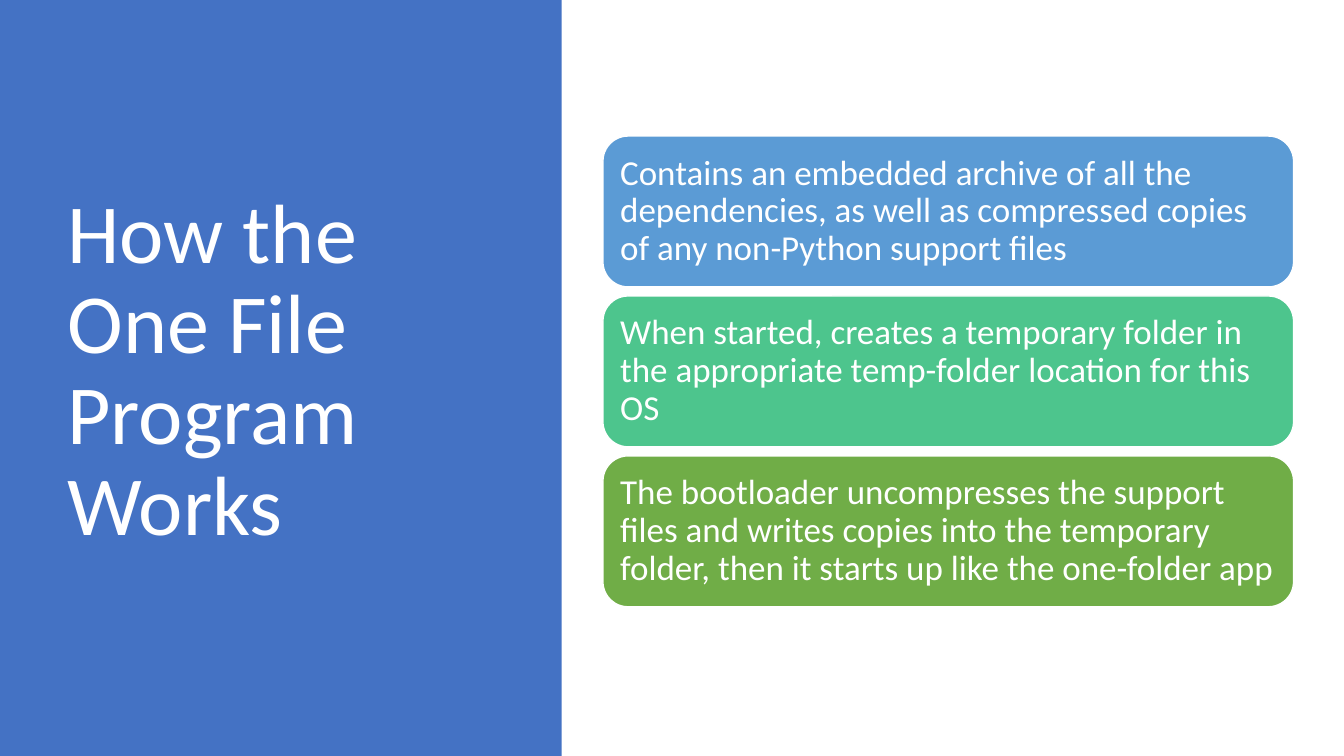
from pptx import Presentation
from pptx.dml.color import RGBColor
from pptx.enum.shapes import MSO_SHAPE
from pptx.enum.text import MSO_ANCHOR, MSO_AUTO_SIZE, PP_ALIGN
from pptx.util import Inches, Pt

COLORS = {
    "panel": "4472C4",
    "white": "FFFFFF",
    "archive": "5B9BD5",
    "folder": "4DC58D",
    "bootloader": "70AD47",
}
STEPS = [
    ("archive", "Contains an embedded archive of all the dependencies, as well as "
                "compressed copies of any non-Python support files"),
    ("folder", "When started, creates a temporary folder in the appropriate "
               "temp-folder location for this OS"),
    ("bootloader", "The bootloader uncompresses the support files and writes copies into "
                   "the temporary folder, then it starts up like the one-folder app"),
]


def color(name):
    return RGBColor.from_string(COLORS[name])


def add_block(slide, preset, left, top, width, height, fill):
    block = slide.shapes.add_shape(
        preset, Inches(left), Inches(top), Inches(width), Inches(height))
    block.shadow.inherit = False
    block.fill.solid()
    block.fill.fore_color.rgb = color(fill)
    return block


def write(frame, text, size):
    frame.text = text
    frame.word_wrap = True
    frame.auto_size = MSO_AUTO_SIZE.NONE
    frame.vertical_anchor = MSO_ANCHOR.MIDDLE
    paragraph = frame.paragraphs[0]
    paragraph.alignment = PP_ALIGN.LEFT
    paragraph.line_spacing = 0.9
    paragraph.font.name = "Calibri"
    paragraph.font.size = Pt(size)
    paragraph.font.color.rgb = color("white")


def add_title_panel(slide, left, top, width, height):
    panel = add_block(slide, MSO_SHAPE.RECTANGLE, left, top, width, height, "panel")
    panel.line.fill.background()
    title = slide.shapes.title
    title.element.addprevious(panel.element)
    title.left, title.top = Inches(left + 0.57), Inches(top + 0.68)
    title.width, title.height = Inches(width - 1.41), Inches(height - 1.48)
    write(title.text_frame, "How the One File Program Works", 60)


def add_steps(slide, left, top, width, height, gap=0.09):
    card_height = (height - gap * (len(STEPS) - 1)) / len(STEPS)
    for index, (fill, text) in enumerate(STEPS):
        card_top = top + index * (card_height + gap)
        card = add_block(slide, MSO_SHAPE.ROUNDED_RECTANGLE,
                         left, card_top, width, card_height, fill)
        card.line.color.rgb = color("white")
        card.line.width = Pt(1)
        frame = card.text_frame
        frame.margin_left = frame.margin_right = Inches(0.1)
        frame.margin_top = frame.margin_bottom = Inches(0.1)
        write(frame, text, 25)


def main():
    deck = Presentation()
    deck.slide_width, deck.slide_height = Inches(13.33), Inches(7.5)
    slide = deck.slides.add_slide(deck.slide_layouts[5])
    add_title_panel(slide, 0, 0, 5.57, 7.5)
    add_steps(slide, 5.98, 1.35, 6.85, 4.67)
    deck.save("out.pptx")


if __name__ == "__main__":
    main()
